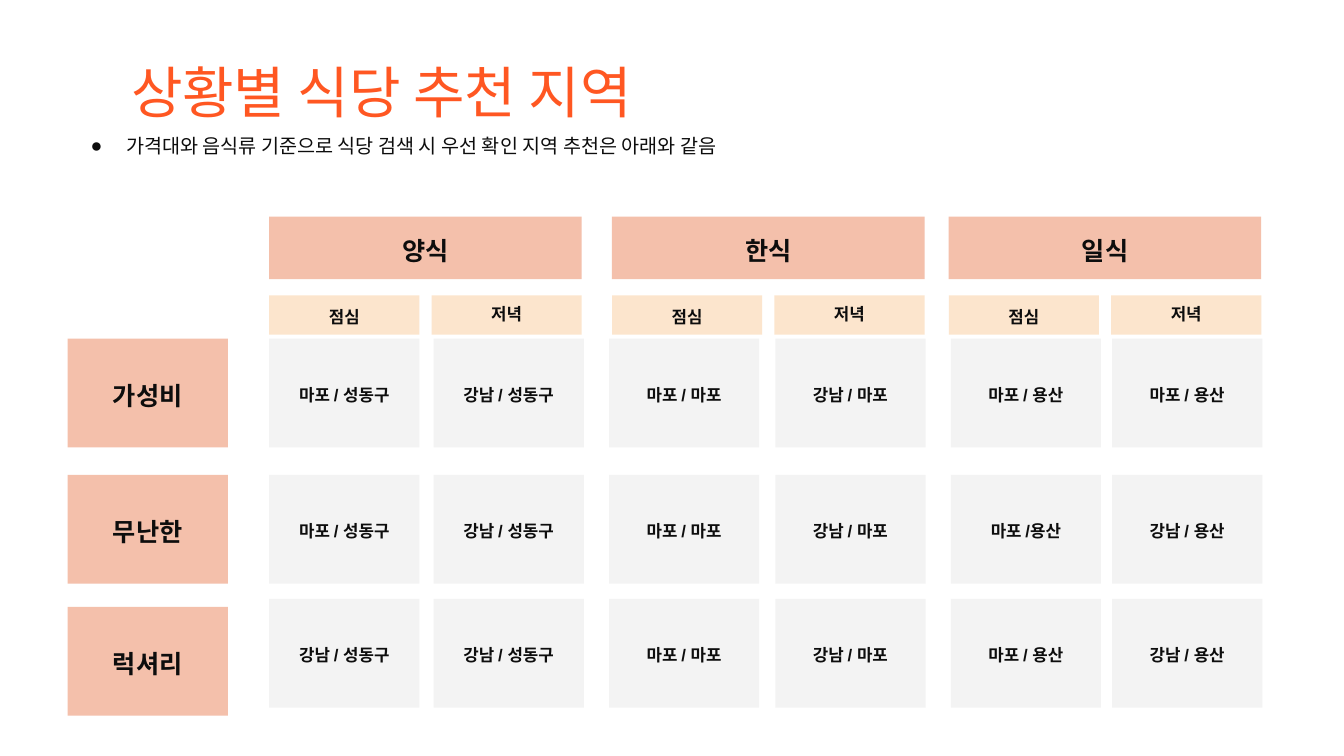
import pptx
import pptx.dml.color
import pptx.enum.shapes
import pptx.enum.text
import pptx.oxml
import pptx.oxml.ns
import pptx.util
from dataclasses import dataclass

Inches = pptx.util.Inches


@dataclass(frozen=True)
class Theme:
    title_color: str = "FF5722"
    text_color: str = "0D0D0D"
    heading_fill: str = "F4C0AB"
    meal_fill: str = "FCE5CD"
    cell_fill: str = "F3F3F3"
    title_font: str = "Roboto Slab"
    body_font: str = "Arial"
    title_size: int = 40
    note_size: int = 14
    heading_size: int = 18
    cell_size: int = 12


theme = Theme()


def write_text(shape, text, size, margin, spacing=1.0, bold=False,
               font=theme.body_font, color=theme.text_color):
    """Fill the shape's first paragraph and return that paragraph."""
    frame = shape.text_frame
    frame.word_wrap = True
    frame.margin_left = frame.margin_right = Inches(margin)
    frame.margin_top = frame.margin_bottom = Inches(margin)
    paragraph = frame.paragraphs[0]
    paragraph.line_spacing = spacing
    run = paragraph.add_run()
    run.text = text
    run.font.name = font
    run.font.size = pptx.util.Pt(size)
    run.font.bold = bold
    run.font.color.rgb = pptx.dml.color.RGBColor.from_string(color)
    return paragraph


def add_box(left, top, width, height, fill, text, size, spacing=1.15):
    """Add a borderless rectangle with centred bold text."""
    shape = slide.shapes.add_shape(
        pptx.enum.shapes.MSO_SHAPE.RECTANGLE,
        Inches(left), Inches(top), Inches(width), Inches(height))
    shape.shadow.inherit = False
    shape.fill.solid()
    shape.fill.fore_color.rgb = pptx.dml.color.RGBColor.from_string(fill)
    shape.line.fill.background()
    shape.text_frame.vertical_anchor = pptx.enum.text.MSO_ANCHOR.MIDDLE
    paragraph = write_text(shape, text, size, 0.1, spacing, bold=True)
    paragraph.alignment = pptx.enum.text.PP_ALIGN.CENTER


presentation = pptx.Presentation()
presentation.slide_width = Inches(13.33)
presentation.slide_height = Inches(7.5)
slide = presentation.slides.add_slide(presentation.slide_layouts[6])

# Title and note
title = slide.shapes.add_textbox(Inches(1.17), Inches(0.44), Inches(11.5), Inches(1.45))
write_text(title, "상황별 식당 추천 지역", theme.title_size, 0.13,
           font=theme.title_font, color=theme.title_color)

note = slide.shapes.add_textbox(Inches(0.62), Inches(1.23), Inches(12.42), Inches(1.02))
note_paragraph = write_text(
    note, "가격대와 음식류 기준으로 식당 검색 시 우선 확인 지역 추천은 아래와 같음",
    theme.note_size, 0.13, 0.95)
properties = note_paragraph._p.get_or_add_pPr()
properties.set("marL", str(Inches(0.5)))
properties.set("indent", str(Inches(-0.35)))
namespace = pptx.oxml.ns.nsdecls("a")
for bullet_xml in (
    f'<a:buClr {namespace}><a:srgbClr val="{theme.text_color}"/></a:buClr>',
    f'<a:buFont {namespace} typeface="{theme.body_font}"/>',
    f'<a:buChar {namespace} char="●"/>',
):
    properties.append(pptx.oxml.parse_xml(bullet_xml))

# Cuisine headings, each over a lunch and a dinner column
box_width, row_height = 1.49, 1.08
cuisines = [("양식", 2.67), ("한식", 6.07), ("일식", 9.41)]
meals = [("점심", 0, 1.15), ("저녁", 1.61, 0.95)]
for cuisine, left in cuisines:
    add_box(left, 2.15, 3.1, 0.62, theme.heading_fill, cuisine, theme.heading_size)
    for meal, offset, spacing in meals:
        add_box(left + offset, 2.93, box_width, 0.39, theme.meal_fill, meal,
                theme.cell_size, spacing)

# Price rows: label, label top, cell top, districts
cell_lefts = [2.67, 4.3, 6.04, 7.69, 9.43, 11.03]
price_rows = [
    ("가성비", 3.36, 3.36, ["마포 / 성동구", "강남 / 성동구", "마포 / 마포",
                         "강남 / 마포", "마포 / 용산", "마포 / 용산"]),
    ("무난한", 4.71, 4.71, ["마포 / 성동구", "강남 / 성동구", "마포 / 마포",
                         "강남 / 마포", "마포 /용산", "강남 / 용산"]),
    ("럭셔리", 6.02, 5.94, ["강남 / 성동구", "강남 / 성동구", "마포 / 마포",
                         "강남 / 마포", "마포 / 용산", "강남 / 용산"]),
]
for label, label_top, cell_top, districts in price_rows:
    add_box(0.67, label_top, 1.59, row_height, theme.heading_fill, label, theme.heading_size)
    for left, district in zip(cell_lefts, districts):
        add_box(left, cell_top, box_width, row_height, theme.cell_fill, district,
                theme.cell_size)

presentation.save("out.pptx")
